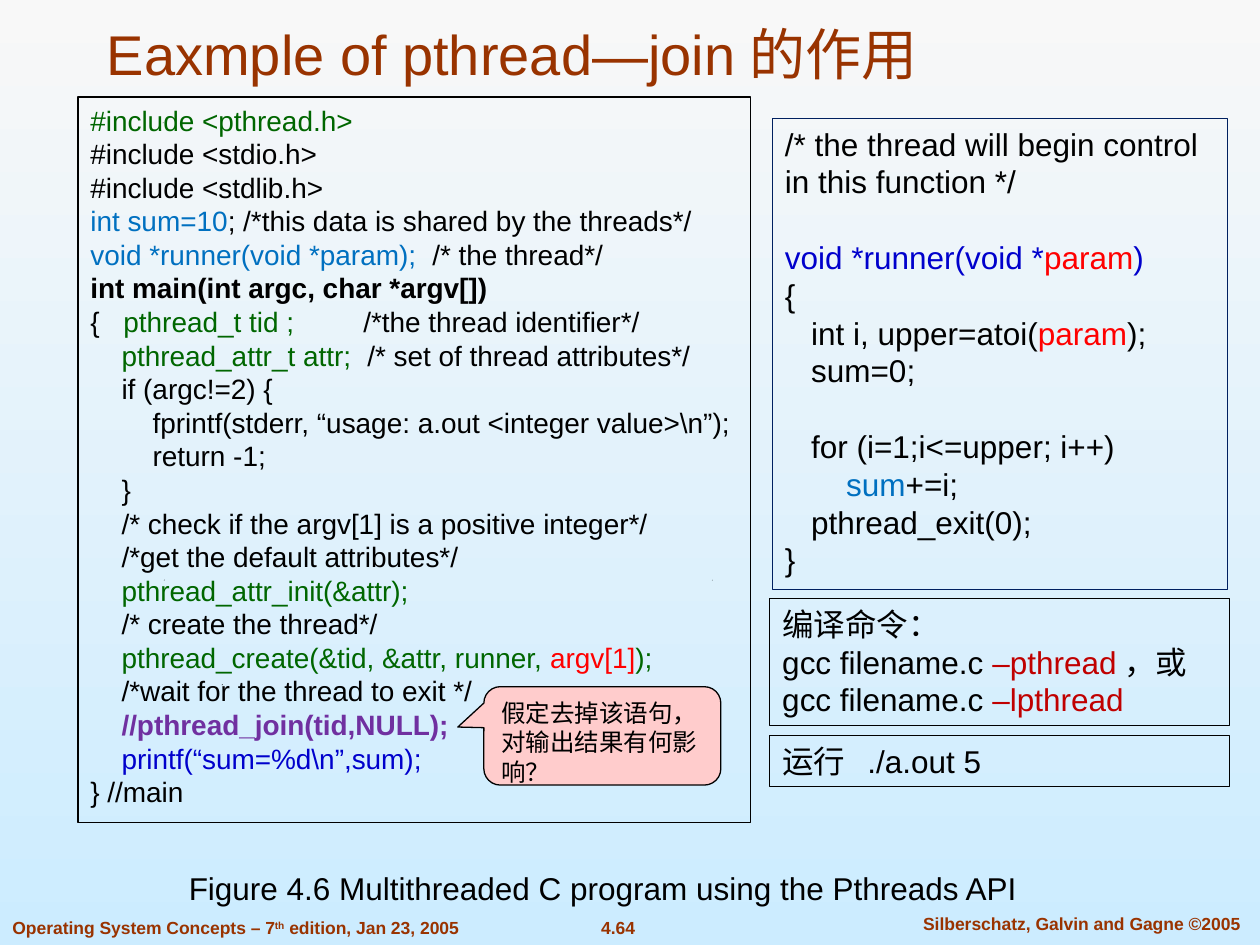
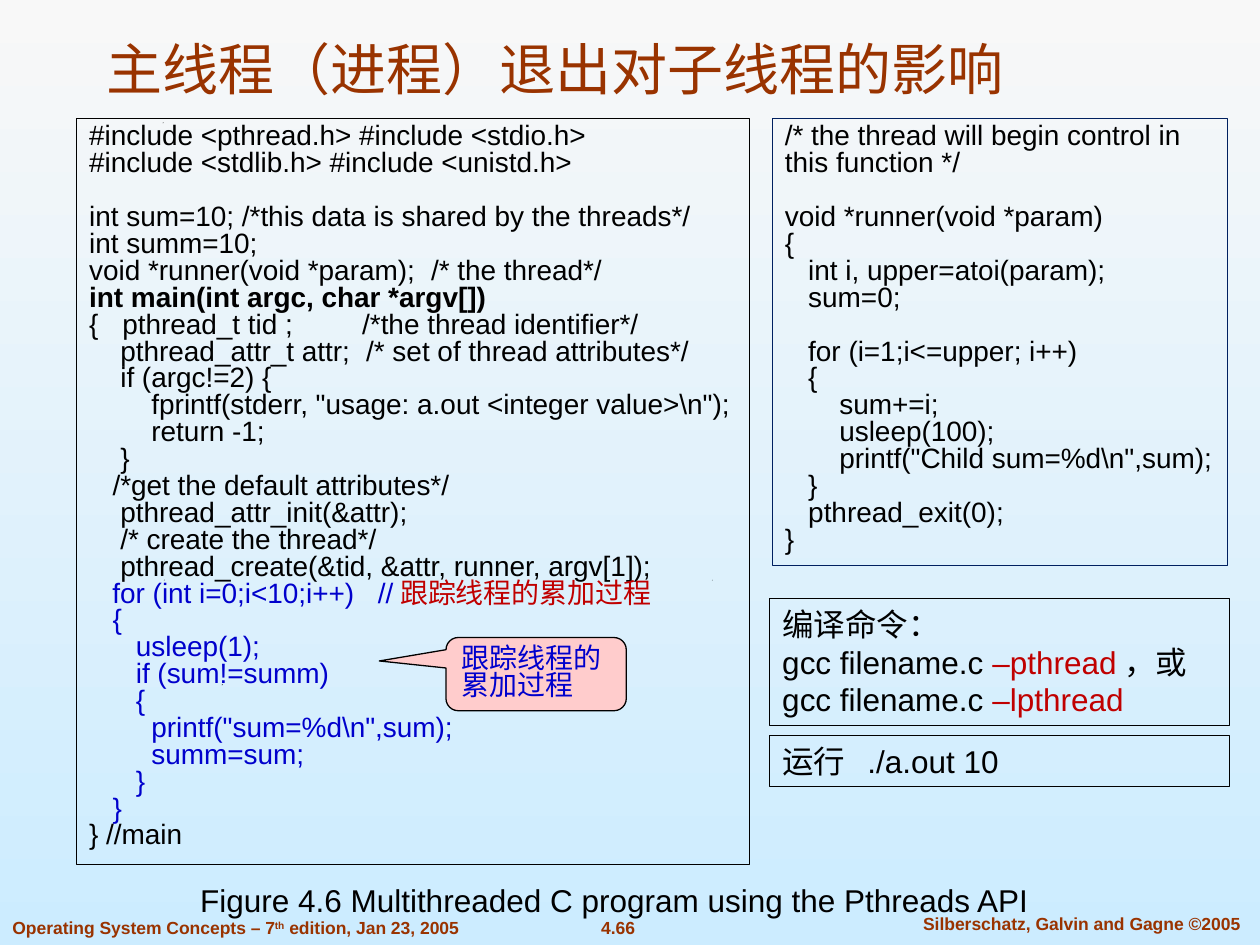
from lxml import etree
from pptx import Presentation
from pptx import util as u
from pptx.dml.color import RGBColor
from pptx.enum import shapes, text
from pptx.oxml.ns import qn

COLOURS = {
    "sky_top": "F8F8F8", "sky_bottom": "CCECFF", "rust": "993300",
    "black": "000000", "navy": "002060", "green": "006600", "sky": "0070C0",
    "red": "FF0000", "crimson": "C00000", "purple": "7030A0",
    "blue": "0000CC", "pink": "FFCCCC",
}
FONT = "Arial"
SPACE_WIDTH = 0.278   # width of one space, in ems
LINE_HEIGHT = 1.2     # line pitch, in ems
CAPTION = "Figure 4.6 Multithreaded C program using the Pthreads API"
SPECKS = [(126.72, 390.96), (93.6, 331.2), (406.8, 331.2), (92.88, 69.84)]


def rgb(name):
    return RGBColor.from_string(COLOURS[name])


def line(*runs, spaces=0, stops=(), bold=False, skip=False):
    """One line: runs are text or (text, colour); skip leaves a line free above."""
    pairs = [(run, None) if isinstance(run, str) else run for run in runs]
    return {"runs": pairs, "spaces": spaces, "stops": stops,
            "bold": bold, "skip": skip}


def tinted(colour, string, **options):
    return line((string, colour), **options)


# ---------- Text ----------
def add_run(paragraph, string, size, colour="black", bold=False):
    run = paragraph.add_run()
    run.text = string
    run.font.name = FONT
    run.font.size = u.Pt(size)
    run.font.bold = bold
    run.font.color.rgb = rgb(colour)
    return run


def set_tab_stops(properties, stops):
    tab_list = etree.SubElement(properties, qn("a:tabLst"))
    for stop in stops:
        etree.SubElement(tab_list, qn("a:tab"), pos=str(u.Pt(stop)), algn="l")


def fill_text(shape, lines, size, spacing=1, colour="black"):
    frame = shape.text_frame
    frame.word_wrap = True
    frame.vertical_anchor = text.MSO_ANCHOR.TOP
    pitch = size * LINE_HEIGHT * spacing
    for index, item in enumerate(lines):
        paragraph = frame.add_paragraph() if index else frame.paragraphs[0]
        paragraph.alignment = text.PP_ALIGN.LEFT
        paragraph.line_spacing = u.Pt(pitch)
        if item["skip"]:
            paragraph.space_before = u.Pt(pitch)
        properties = paragraph._p.get_or_add_pPr()
        if item["spaces"]:
            indent = u.Pt(item["spaces"] * SPACE_WIDTH * size)
            properties.set("marL", str(indent))
            properties.set("indent", "0")
        if item["stops"]:
            set_tab_stops(properties, item["stops"])
        for string, run_colour in item["runs"]:
            add_run(paragraph, string, size, run_colour or colour, item["bold"])


def add_label(slide, place, string, size, colour="black", bold=False,
              align=text.PP_ALIGN.LEFT, anchor=text.MSO_ANCHOR.TOP):
    shape = slide.shapes.add_textbox(*map(u.Pt, place))
    frame = shape.text_frame
    frame.word_wrap = True
    frame.vertical_anchor = anchor
    paragraph = frame.paragraphs[0]
    paragraph.alignment = align
    add_run(paragraph, string, size, colour, bold)
    return paragraph


# ---------- Shapes ----------
def add_panel(slide, place, lines, size, spacing=1, border="black", fill=None,
              kind=shapes.MSO_SHAPE.RECTANGLE, colour="black"):
    shape = slide.shapes.add_shape(kind, *map(u.Pt, place))
    shape.shadow.inherit = False
    if fill:
        shape.fill.solid()
        shape.fill.fore_color.rgb = rgb(fill)
    else:
        shape.fill.background()
    shape.line.color.rgb = rgb(border)
    shape.line.width = u.Pt(0.75)
    fill_text(shape, lines, size, spacing, colour)
    return shape


def add_callout(slide, place, pointer, string, size, spacing=1, colour="black"):
    callout = add_panel(slide, place, [line(string)], size, spacing, fill="pink",
                        kind=shapes.MSO_SHAPE.ROUNDED_RECTANGULAR_CALLOUT,
                        colour=colour)
    callout.adjustments[0], callout.adjustments[1] = pointer


def add_speck(slide, left, top):
    left, top, side = u.Pt(left), u.Pt(top), u.Pt(0.5)
    builder = slide.shapes.build_freeform(left, top + side)
    builder.add_line_segments([(left + side, top), (left + side, top + side)])
    speck = builder.convert_to_shape()
    speck.shadow.inherit = False
    speck.fill.solid()
    speck.fill.fore_color.rgb = rgb("black")
    speck.line.fill.background()


# ---------- Shared slide parts ----------
def add_slide(presentation, title, title_height, number):
    slide = presentation.slides.add_slide(presentation.slide_layouts[6])
    fill = slide.background.fill
    fill.gradient()
    fill.gradient_angle = 270
    for stop, name in zip(fill.gradient_stops, ("sky_top", "sky_bottom")):
        stop.color.rgb = rgb(name)
    for left, top in SPECKS:
        add_speck(slide, left, top)

    # Footer
    footer = {"size": 10, "colour": "rust", "bold": True}
    centre = text.PP_ALIGN.CENTER
    add_label(slide, (334.1, 520.6, 38.2, 19.4), number, align=centre, **footer)
    add_label(slide, (511.2, 518.4, 213.8, 19.4),
              "Silberschatz, Galvin and Gagne ©2005", align=centre, **footer)
    book = add_label(slide, (0, 520.6, 303.1, 19.4),
                     "Operating System Concepts – 7", **footer)
    ordinal = add_run(book, "th", **footer)
    ordinal._r.get_or_add_rPr().set("baseline", "30000")
    add_run(book, " edition, Jan 23, 2005", **footer)

    # Title
    add_label(slide, (54, 18, 635.8, title_height), title, 32, "rust",
              anchor=text.MSO_ANCHOR.BOTTOM)
    return slide


def add_commands(slide, argument):
    compile_lines = [
        line("编译命令："),
        line("gcc filename.c ", ("–pthread", "crimson"), "，或"),
        line("gcc filename.c ", ("–lpthread", "crimson")),
    ]
    add_panel(slide, (439.9, 342, 262.8, 72.7), compile_lines, 18)
    run_line = line(f"运行\t./a.out {argument}", stops=(48.6,))
    add_panel(slide, (439.9, 420.5, 262.8, 28.8), [run_line], 18)


# ---------- Program listings ----------
RUNNER_STOPS = (195.4,)
TID_STOPS = (18.9, 156)
ATTR_STOPS = (17.8, 158.3)

JOIN_MAIN = [
    tinted("green", "#include <pthread.h>"),
    line("#include <stdio.h>"),
    line("#include <stdlib.h>"),
    line(("int sum=10", "sky"), "; /*this data is shared by the threads*/"),
    line(("void *runner(void *param);\t", "sky"), "/* the thread*/",
         stops=RUNNER_STOPS),
    line("int main(int argc, char *argv[])", bold=True),
    line("{\t", ("pthread_t tid ;\t", "green"), "/*the thread identifier*/",
         stops=TID_STOPS),
    line(("\tpthread_attr_t attr;\t", "green"), "/* set of thread attributes*/",
         stops=ATTR_STOPS),
    line("if (argc!=2) {", spaces=4),
    line(r"fprintf(stderr, “usage: a.out <integer value>\n”);", spaces=8),
    line("return -1;", spaces=8),
    line("}", spaces=4),
    line("/* check if the argv[1] is a positive integer*/", spaces=4),
    line("/*get the default attributes*/", spaces=4),
    tinted("green", "pthread_attr_init(&attr);", spaces=4),
    line("/* create the thread*/", spaces=4),
    line(("pthread_create(&tid, &attr, runner, ", "green"), ("argv[1]", "red"),
         (");", "green"), spaces=4),
    line("/*wait for the thread to exit */", spaces=4),
    tinted("purple", "//pthread_join(tid,NULL);", spaces=4, bold=True),
    tinted("blue", r"printf(“sum=%d\n”,sum);", spaces=4),
    line("} //main"),
]

JOIN_RUNNER = [
    line("/* the thread will begin control in this function */"),
    line(("void *runner(void *", "blue"), ("param", "red"), (")", "blue"),
         skip=True),
    line("{"),
    line("int i, upper=atoi(", ("param", "red"), ");", spaces=3),
    line("sum=0;", spaces=3),
    line("for (i=1;i<=upper; i++)", spaces=3, skip=True),
    line(("sum", "sky"), "+=i;", spaces=7),
    line("pthread_exit(0);", spaces=3),
    line("}"),
]

EXIT_MAIN = [
    line("#include <pthread.h> #include <stdio.h>"),
    line("#include <stdlib.h> #include <unistd.h>"),
    line("int sum=10; /*this data is shared by the threads*/", skip=True),
    line("int summ=10;"),
    line("void *runner(void *param);\t/* the thread*/", stops=RUNNER_STOPS),
    line("int main(int argc, char *argv[])", bold=True),
    line("{\tpthread_t tid ;\t/*the thread identifier*/", stops=TID_STOPS),
    line("\tpthread_attr_t attr;\t/* set of thread attributes*/",
         stops=ATTR_STOPS),
    line("if (argc!=2) {", spaces=4),
    line(r'fprintf(stderr, "usage: a.out <integer value>\n");', spaces=8),
    line("return -1;", spaces=8),
    line("}", spaces=4),
    line("/*get the default attributes*/", spaces=3),
    line("pthread_attr_init(&attr);", spaces=4),
    line("/* create the thread*/", spaces=4),
    line("pthread_create(&tid, &attr, runner, argv[1]);", spaces=4),
    line(("\tfor (int i=0;i<10;i++)\t//", "blue"),
         ("跟踪线程的累加过程", "crimson"), stops=(13.3, 165)),
    tinted("blue", "{", spaces=3),
    tinted("blue", "usleep(1);", spaces=6),
    tinted("blue", "if (sum!=summ)", spaces=6),
    tinted("blue", "{", spaces=6),
    tinted("blue", r'printf("sum=%d\n",sum);', spaces=8),
    tinted("blue", "summ=sum;", spaces=8),
    tinted("blue", "}", spaces=6),
    tinted("blue", "}", spaces=3),
    line("} //main"),
]

EXIT_RUNNER = [
    line("/* the thread will begin control in this function */"),
    line("void *runner(void *param)", skip=True),
    line("{"),
    line("int i, upper=atoi(param);", spaces=3),
    line("sum=0;", spaces=3),
    line("for (i=1;i<=upper; i++)", spaces=3, skip=True),
    line("{", spaces=3),
    line("sum+=i;", spaces=7),
    line("usleep(100);", spaces=7),
    line(r'printf("Child sum=%d\n",sum);', spaces=7),
    line("}", spaces=3),
    line("pthread_exit(0);", spaces=3),
    line("}"),
]


# ---------- Slides ----------
def build_join_slide(presentation):
    slide = add_slide(presentation, "Eaxmple of pthread—join的作用", 35.3, "4.64")
    add_panel(slide, (44.6, 55.4, 384.5, 414.7), JOIN_MAIN, 16)
    add_panel(slide, (441.4, 67.7, 259.9, 269.3), JOIN_RUNNER, 18, border="navy")
    add_commands(slide, 5)
    add_label(slide, (100.8, 493.2, 528.5, 28.8), CAPTION, 18)
    add_callout(slide, (276.5, 392.4, 135.4, 56.2), (-0.61, -0.09),
                "假定去掉该语句，对输出结果有何影响？", 14)


def build_exit_slide(presentation):
    slide = add_slide(presentation, "主线程（进程）退出对子线程的影响", 43.9, "4.66")
    add_panel(slide, (43.9, 67.7, 384.5, 426.2), EXIT_MAIN, 16, 0.8)
    add_panel(slide, (441.4, 67.7, 259.9, 255.6), EXIT_RUNNER, 16, 0.8,
              border="navy")
    add_commands(slide, 10)
    add_label(slide, (107.3, 499.7, 528.5, 28.8), CAPTION, 18)
    add_callout(slide, (254.9, 364.3, 103, 41.8), (-0.87, -0.18),
                "跟踪线程的累加过程", 16, 0.8, "blue")


def main():
    presentation = Presentation()
    presentation.slide_width = u.Pt(720)
    presentation.slide_height = u.Pt(540)
    build_join_slide(presentation)
    build_exit_slide(presentation)
    presentation.save("out.pptx")


if __name__ == "__main__":
    main()
